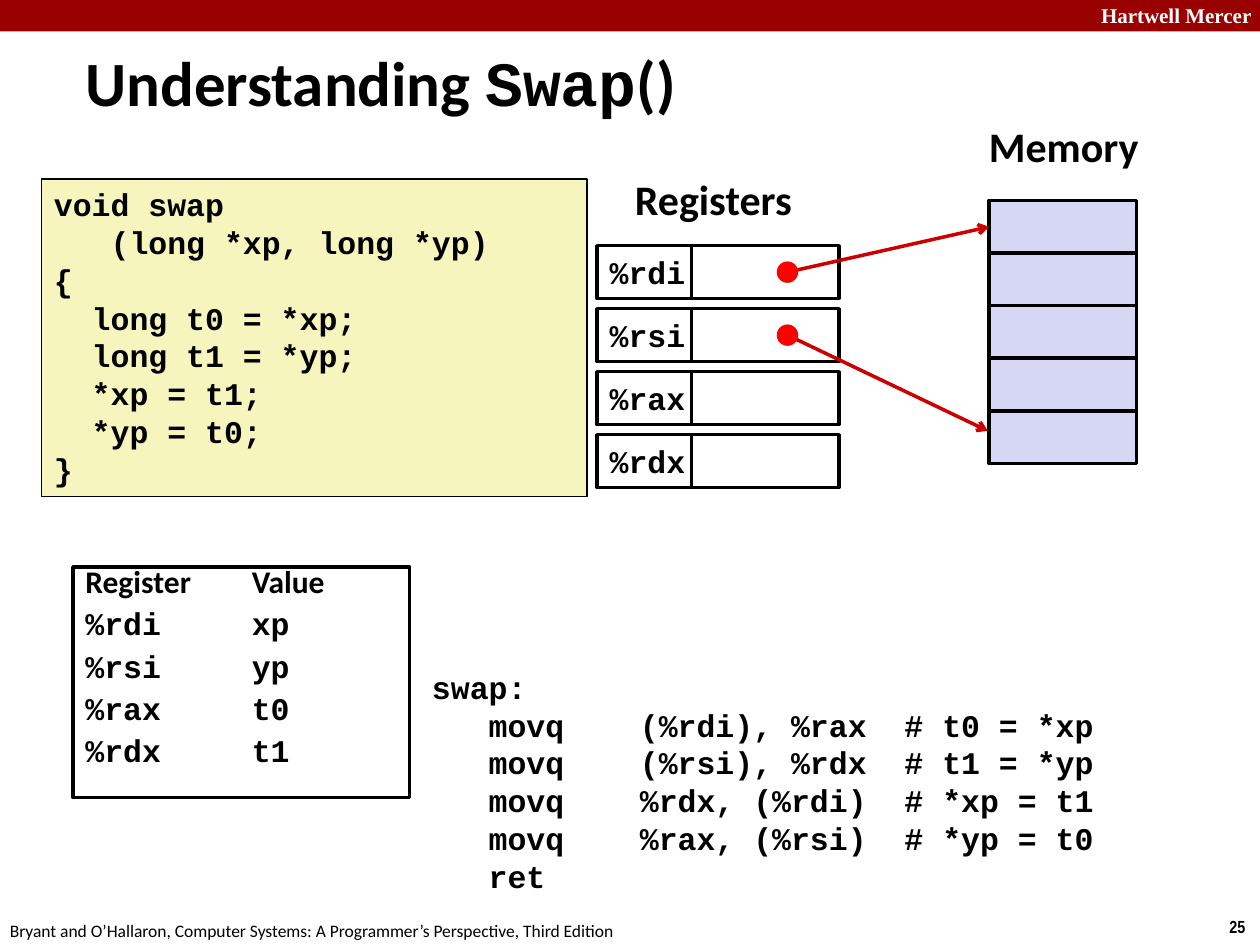
import pptx
import pptx.dml.color
import pptx.enum.shapes
import pptx.enum.text
import pptx.oxml.ns
import pptx.oxml.xmlchemy
import pptx.util
from lxml import etree

Inches = pptx.util.Inches
Pt = pptx.util.Pt
qn = pptx.oxml.ns.qn
Preset = pptx.enum.shapes.MSO_SHAPE
Anchor = pptx.enum.text.MSO_ANCHOR

THEME = {
    "black": "000000", "white": "FFFFFF", "banner": "990000",
    "code_fill": "F6F5BD", "memory_fill": "D6D6F5",
    "arrow": "CC0000", "dot": "FF0000",
    "body": "Calibri", "code": "Courier New",
    "header": "Times New Roman", "number": "Arial Narrow",
    "title_size": 36, "label_size": 24, "code_size": 18,
    "header_size": 12, "footer_size": 10,
    "code_pitch": 21.6, "table_pitch": 15.2, "table_gap": 9,
}

HEADER = "Hartwell Mercer"
FOOTER = "Bryant and O’Hallaron, Computer Systems: A Programmer’s Perspective, Third Edition"
PAGE_NUMBER = "25"
TITLE = [("Understanding ", "body"), ("Swap", "code"), ("()", "body")]
LABELS = [("Memory", 7.75, 0.91, 1.4), ("Registers", 4.94, 1.33, 1.48)]
C_CODE = [
    (0, "void swap"),
    (3, "(long *xp, long *yp)"),
    (0, "{"),
    (2, "long t0 = *xp;"),
    (2, "long t1 = *yp;"),
    (2, "*xp = t1;"),
    (2, "*yp = t0;"),
    (0, "}"),
]
ASSEMBLY = [
    "swap:",
    "\tmovq\t(%rdi), %rax\t# t0 = *xp",
    "\tmovq\t(%rsi), %rdx\t# t1 = *yp",
    "\tmovq\t%rdx, (%rdi)\t# *xp = t1",
    "\tmovq\t%rax, (%rsi)\t# *yp = t0",
    "\tret",
]
ASSEMBLY_COLUMNS = [3, 11, 25]
REGISTER_HEADING = ("Register", "Value")
REGISTERS = [("%rdi", "xp"), ("%rsi", "yp"), ("%rax", "t0"), ("%rdx", "t1")]
POINTERS = [(0, 7.85, 1.8), (1, 7.84, 3.42)]

CHAR_WIDTH = 0.15
REGISTER_LEFT, REGISTER_TOP, REGISTER_STEP = 4.74, 1.95, 0.5
NAME_WIDTH, CELL_WIDTH, CELL_HEIGHT = 0.75, 1.17, 0.42
MEMORY_LEFT, MEMORY_TOP, MEMORY_STEP, MEMORY_CELLS = 7.85, 1.59, 0.4175, 5
DOT_X, DOT_SIZE = 6.25, 0.17


def rgb(name):
    return pptx.dml.color.RGBColor.from_string(THEME[name])


def add_box(page, place, fill=None, line_width=0, preset=Preset.RECTANGLE):
    box = page.shapes.add_shape(preset, *map(Inches, place))
    box.shadow.inherit = False
    if fill:
        box.fill.solid()
        box.fill.fore_color.rgb = rgb(fill)
    else:
        box.fill.background()
    if line_width:
        box.line.color.rgb = rgb("black")
        box.line.width = Pt(line_width)
    else:
        box.line.fill.background()
    return box


def add_text_box(page, place):
    return page.shapes.add_textbox(*map(Inches, place))


def style(para, font, size, bold=True, color="black"):
    para.alignment = pptx.enum.text.PP_ALIGN.LEFT
    para.font.name = THEME[font]
    para.font.size = Pt(THEME[size])
    para.font.bold = bold
    para.font.color.rgb = rgb(color)


def set_tabs(para, stops):
    tabs = etree.SubElement(para._p.get_or_add_pPr(), qn("a:tabLst"))
    for stop in stops:
        etree.SubElement(tabs, qn("a:tab"), pos=str(Inches(stop)), algn="l")


def write_line(box, text, font, size, bold=True, color="black", wrap=False):
    box.text_frame.word_wrap = wrap
    para = box.text_frame.paragraphs[0]
    para.text = text
    style(para, font, size, bold, color)


def write_lines(box, lines, pitch, stops=(), gap=0):
    frame = box.text_frame
    frame.word_wrap = True
    frame.vertical_anchor = Anchor.TOP
    for index, (indent, text, font) in enumerate(lines):
        para = frame.paragraphs[0] if index == 0 else frame.add_paragraph()
        para.text = text
        if indent:
            properties = para._p.get_or_add_pPr()
            properties.set("marL", str(Inches(indent * CHAR_WIDTH)))
            properties.set("indent", "0")
        if stops:
            set_tabs(para, stops)
        style(para, font, "code_size")
        para.line_spacing = Pt(THEME[pitch])
        para.space_before = Pt(gap)


def add_arrow(page, start, end):
    arrow = page.shapes.add_connector(
        pptx.enum.shapes.MSO_CONNECTOR.STRAIGHT, *map(Inches, start + end))
    arrow.line.color.rgb = rgb("arrow")
    arrow.line.width = Pt(2)
    properties = arrow._element.spPr
    etree.SubElement(properties.find(qn("a:ln")), qn("a:tailEnd"), type="arrow")
    etree.SubElement(properties, qn("a:effectLst"))


def add_frame(page):
    add_box(page, (0, 0, 10, 0.25), "banner")
    write_line(add_text_box(page, (8.64, -0.03, 1.43, 0.3)), HEADER,
               "header", "header_size", color="white")
    write_line(add_text_box(page, (9.66, 7.22, 0.34, 0.27)), PAGE_NUMBER,
               "number", "footer_size")
    write_line(add_text_box(page, (-0.02, 7.25, 5.08, 0.27)), FOOTER,
               "body", "footer_size", bold=False)
    title = add_text_box(page, (0.58, 0.33, 6.97, 0.63)).text_frame
    title.word_wrap = True
    title.vertical_anchor = Anchor.MIDDLE
    para = title.paragraphs[0]
    style(para, "body", "title_size")
    for text, font in TITLE:
        span = para.add_run()
        span.text = text
        span.font.name = THEME[font]
    for text, left, top, width in LABELS:
        write_line(add_text_box(page, (left, top, width, 0.5)), text,
                   "body", "label_size")


def add_code(page):
    write_lines(add_box(page, (0.33, 1.42, 4.33, 2.52), "code_fill", 1),
                [(indent, text, "code") for indent, text in C_CODE], "code_pitch")
    write_lines(add_text_box(page, (3.33, 5.25, 6.42, 1.92)),
                [(0, text, "code") for text in ASSEMBLY], "code_pitch",
                [column * CHAR_WIDTH for column in ASSEMBLY_COLUMNS])
    rows = [(0, "\t".join(REGISTER_HEADING), "body")]
    rows += [(0, "\t".join(row), "code") for row in REGISTERS]
    write_lines(add_box(page, (0.58, 4.5, 2.67, 1.83), line_width=2),
                rows, "table_pitch", [1.32], THEME["table_gap"])


def add_diagram(page):
    for index, (name, _) in enumerate(REGISTERS):
        top = REGISTER_TOP + index * REGISTER_STEP
        box = add_box(page, (REGISTER_LEFT, top, NAME_WIDTH, CELL_HEIGHT), "white", 2)
        box.text_frame.vertical_anchor = Anchor.MIDDLE
        write_line(box, name, "code", "code_size")
        add_box(page, (REGISTER_LEFT + NAME_WIDTH, top, CELL_WIDTH, CELL_HEIGHT), "white", 2)
    for index in range(MEMORY_CELLS):
        top = MEMORY_TOP + index * MEMORY_STEP
        add_box(page, (MEMORY_LEFT, top, CELL_WIDTH, CELL_HEIGHT), "memory_fill", 2)
    for row, end_x, end_y in POINTERS:
        middle = REGISTER_TOP + row * REGISTER_STEP + CELL_HEIGHT / 2
        add_arrow(page, (DOT_X, middle), (end_x, end_y))
        add_box(page, (DOT_X - DOT_SIZE / 2, middle - DOT_SIZE / 2, DOT_SIZE, DOT_SIZE),
                "dot", preset=Preset.OVAL)


def main():
    deck = pptx.Presentation()
    deck.slide_width, deck.slide_height = Inches(10), Inches(7.5)
    page = deck.slides.add_slide(deck.slide_layouts[6])
    add_frame(page)
    add_code(page)
    add_diagram(page)
    deck.save("out.pptx")


if __name__ == "__main__":
    main()
